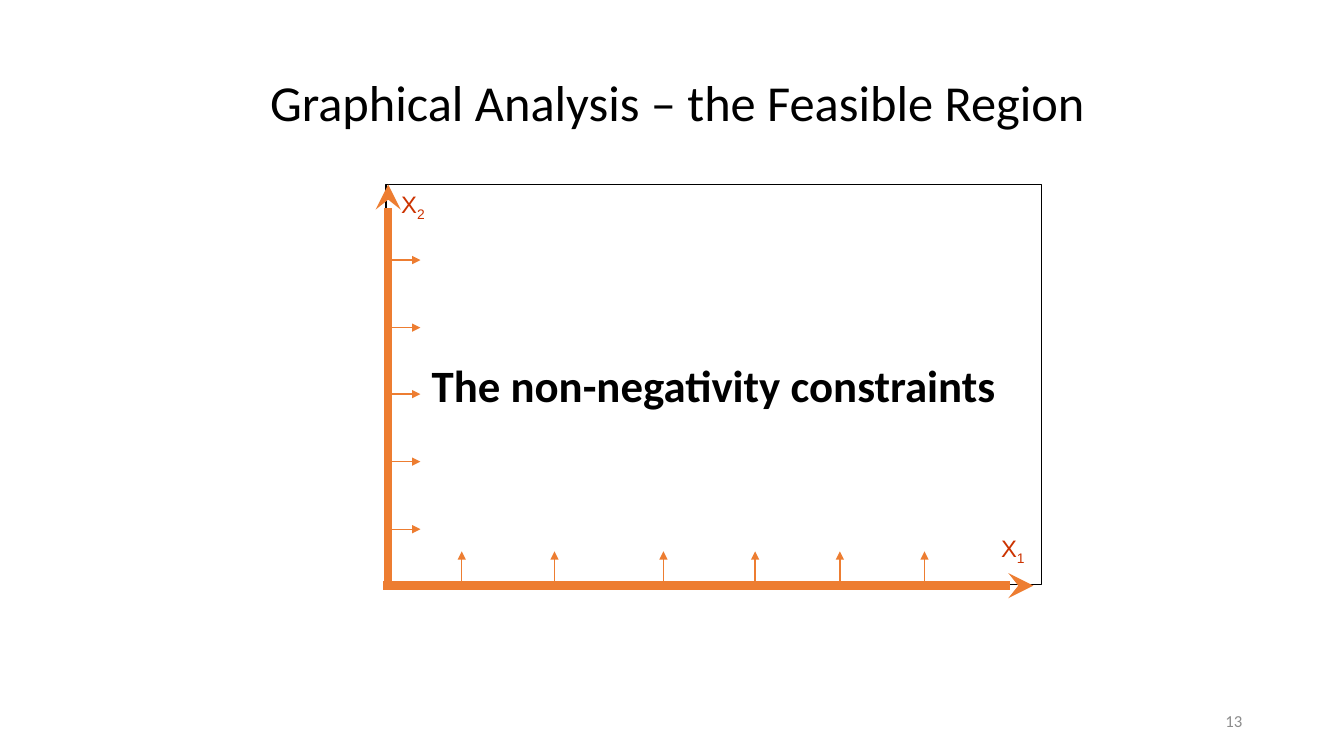
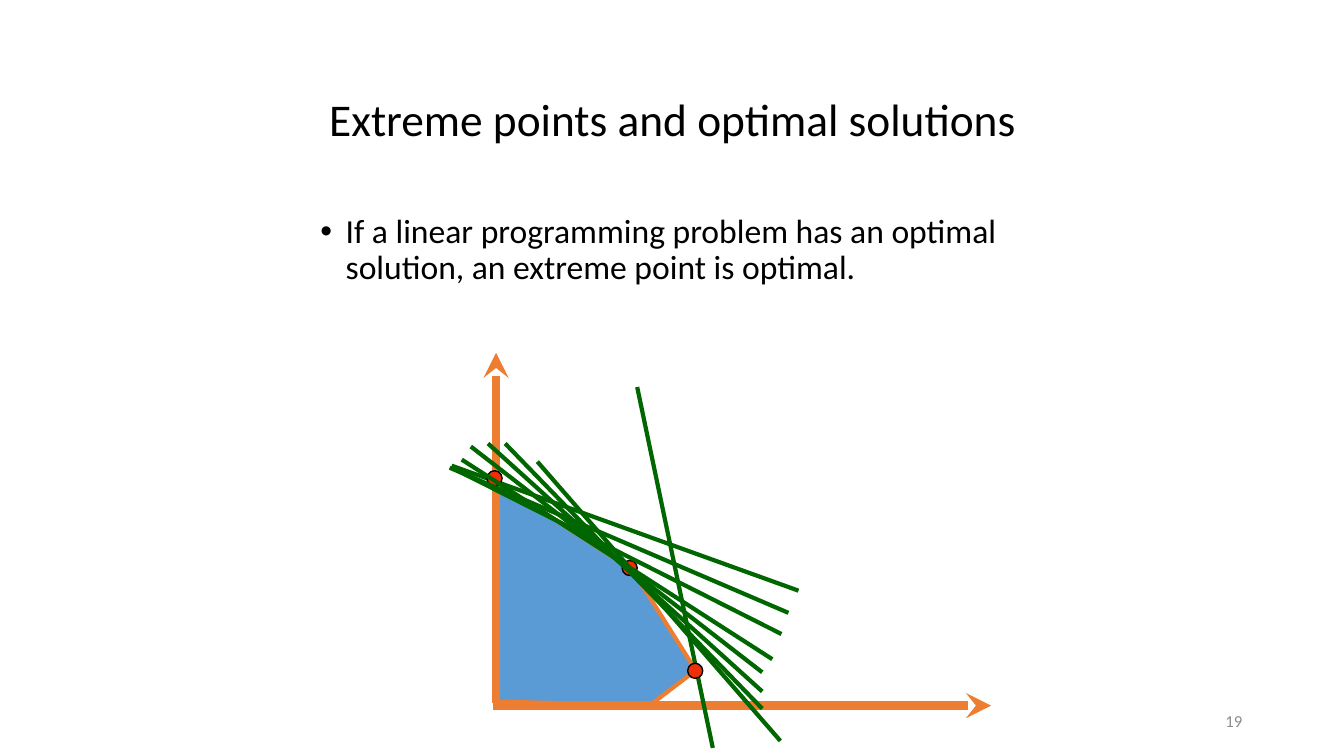
"""Build two slides on the graphical analysis of linear programming."""
from dataclasses import dataclass

from lxml import etree
from pptx import Presentation
from pptx import util as u
from pptx.dml.color import RGBColor
from pptx.enum import shapes, text
from pptx.oxml import ns

PX = 9144


@dataclass(frozen=True)
class Theme:
    """Colours, fonts, type sizes and line widths in points."""
    ink: str = "000000"
    paper: str = "FFFFFF"
    muted: str = "8C8C8C"
    axis: str = "ED7D31"
    label: str = "CC3300"
    region: str = "5B9BD5"
    objective: str = "006600"
    extreme: str = "EF2F09"
    body_font: str = "Calibri"
    label_font: str = "Arial"
    title_size: float = 36
    small_title_size: float = 32.4
    caption_size: float = 32
    body_size: float = 24
    label_size: float = 17
    number_size: float = 12
    thin: float = 1
    medium: float = 3
    thick: float = 6


THEME = Theme()
ALIGN = text.PP_ALIGN


def px(*lengths):
    """Turn px lengths into EMU."""
    return [u.Emu(length * PX) for length in lengths]


def rgb(colour):
    """Read a hexadecimal colour."""
    return RGBColor.from_string(colour)


def add_run(paragraph, wording, size, colour, font=THEME.body_font, bold=False):
    """Add one styled run to a paragraph."""
    run = paragraph.add_run()
    run.text = wording
    run.font.size = u.Pt(size)
    run.font.name = font
    run.font.bold = bold
    run.font.color.rgb = rgb(colour)
    return run


def add_text(slide, box, anchor=text.MSO_ANCHOR.MIDDLE, align=ALIGN.LEFT):
    """Add a wrapping text box and return its first paragraph."""
    frame = slide.shapes.add_textbox(*px(*box)).text_frame
    frame.word_wrap = True
    frame.vertical_anchor = anchor
    paragraph = frame.paragraphs[0]
    paragraph.alignment = align
    return paragraph


def add_title(slide, wording, box, size, align=ALIGN.LEFT):
    """Add a slide title."""
    paragraph = add_text(slide, box, align=align)
    paragraph.line_spacing = 0.9
    add_run(paragraph, wording, size, THEME.ink)


def add_number(slide, number):
    """Add the slide number at the lower right."""
    paragraph = add_text(slide, (942, 695, 300, 40), align=ALIGN.RIGHT)
    add_run(paragraph, str(number), THEME.number_size, THEME.muted)


def add_bullet(slide, wording, box):
    """Add a text box with one bulleted paragraph."""
    paragraph = add_text(slide, box, text.MSO_ANCHOR.TOP)
    paragraph.line_spacing = 0.9
    paragraph.space_before = u.Pt(5)
    properties = paragraph._p.get_or_add_pPr()
    properties.set("marL", str(75 * PX))
    properties.set("indent", str(-25 * PX))
    etree.SubElement(properties, ns.qn("a:buFont"), typeface="Arial")
    etree.SubElement(properties, ns.qn("a:buChar"), char="•")
    add_run(paragraph, wording, THEME.body_size, THEME.ink)


def add_axis_label(slide, subscript, left, top):
    """Add the name of an axis, X with a subscript."""
    paragraph = add_text(slide, (left, top, 45, 39), text.MSO_ANCHOR.TOP)
    style = THEME.label_size, THEME.label, THEME.label_font
    add_run(paragraph, "X", *style)
    index = add_run(paragraph, subscript, *style)
    index._r.get_or_add_rPr().set("baseline", "-25000")
    frame = paragraph._parent
    frame.word_wrap = False
    frame.auto_size = text.MSO_AUTO_SIZE.SHAPE_TO_FIT_TEXT


def add_line(slide, ends, colour, width, arrow=None):
    """Add a straight line, with an arrowhead at its end if one is named."""
    line = slide.shapes.add_connector(shapes.MSO_CONNECTOR.STRAIGHT, *px(*ends))
    line.line.color.rgb = rgb(colour)
    line.line.width = u.Pt(width)
    if arrow:
        etree.SubElement(line.line._get_or_add_ln(), ns.qn("a:tailEnd"), type=arrow)
    etree.SubElement(line._element.spPr, ns.qn("a:effectLst"))


def add_axis(slide, *ends):
    """Add a thick coordinate axis."""
    add_line(slide, ends, THEME.axis, THEME.thick, "stealth")


def add_tick(slide, *ends):
    """Add a thin arrow into the feasible side of an axis."""
    add_line(slide, ends, THEME.axis, THEME.thin, "triangle")


def add_objective(slide, ends):
    """Add one position of the objective line."""
    add_line(slide, ends, THEME.objective, THEME.medium)


def paint(shape, fill, outline, width):
    """Give a shape its fill and outline and remove its shadow."""
    shape.shadow.inherit = False
    shape.fill.solid()
    shape.fill.fore_color.rgb = rgb(fill)
    shape.line.color.rgb = rgb(outline)
    shape.line.width = u.Pt(width)


def add_plot_area(slide, wording, box):
    """Add the framed plot area with its caption."""
    area = slide.shapes.add_shape(shapes.MSO_SHAPE.RECTANGLE, *px(*box))
    paint(area, THEME.paper, THEME.ink, THEME.thin)
    area.text_frame.word_wrap = False
    area.text_frame.vertical_anchor = text.MSO_ANCHOR.MIDDLE
    caption = area.text_frame.paragraphs[0]
    caption.alignment = ALIGN.CENTER
    add_run(caption, wording, THEME.caption_size, THEME.ink, bold=True)


def add_region(slide, corners):
    """Add the feasible region as a closed outline."""
    builder = slide.shapes.build_freeform(*corners[0], scale=PX)
    builder.add_line_segments(corners[1:], close=True)
    paint(builder.convert_to_shape(), THEME.region, THEME.axis, THEME.medium)


def add_extreme_point(slide, left, top):
    """Add the dot that marks an extreme point."""
    dot = slide.shapes.add_shape(shapes.MSO_SHAPE.OVAL, *px(left, top, 15, 15))
    paint(dot, THEME.extreme, THEME.ink, THEME.thin)


def build_constraints(slide):
    """Show the non-negativity constraints."""
    add_number(slide, 13)
    add_plot_area(slide, "The non-negativity constraints", (383, 183, 650, 397))
    add_axis_label(slide, "2", 388, 183)
    add_axis(slide, 380, 581, 1025, 581)
    add_axis_label(slide, "1", 983, 525)
    add_axis(slide, 385, 578, 385, 183)
    add_title(slide, "Graphical Analysis – the Feasible Region",
              (258, 42, 858, 125), THEME.title_size)
    for step in range(5):
        y = 258 + round(step * 200 / 3)
        add_tick(slide, 383, y, 417, y)
    for x in (458, 550, 658, 749, 833, 917):
        add_tick(slide, x, 581, x, 547)


def build_extreme_points(slide):
    """Show objective lines touching the extreme points of the region."""
    add_number(slide, 19)
    add_bullet(slide, "If a linear programming problem has an optimal solution, "
               "an extreme point is optimal.", (258, 208, 817, 100))
    add_region(slide, [(492, 696), (494, 479), (627, 565), (690, 665), (644, 700)])
    add_axis(slide, 492, 697, 492, 350)
    add_axis(slide, 489, 700, 983, 700)
    add_extreme_point(slide, 617, 556)
    add_objective(slide, (448, 462, 792, 586))
    add_extreme_point(slide, 483, 467)
    add_objective(slide, (632, 384, 707, 742))
    add_extreme_point(slide, 682, 658)
    for ends in ((533, 458, 774, 735), (501, 440, 756, 703), (484, 440, 756, 686),
                 (467, 443, 756, 667), (458, 456, 766, 654), (448, 464, 775, 629),
                 (446, 464, 782, 608)):
        add_objective(slide, ends)
    add_title(slide, "Extreme points and optimal solutions",
              (192, 92, 950, 58), THEME.small_title_size, ALIGN.CENTER)


def main():
    """Build and save the presentation."""
    deck = Presentation()
    deck.slide_width, deck.slide_height = px(1333, 750)
    for build in (build_constraints, build_extreme_points):
        build(deck.slides.add_slide(deck.slide_layouts[6]))
    deck.save("out.pptx")


if __name__ == "__main__":
    main()
